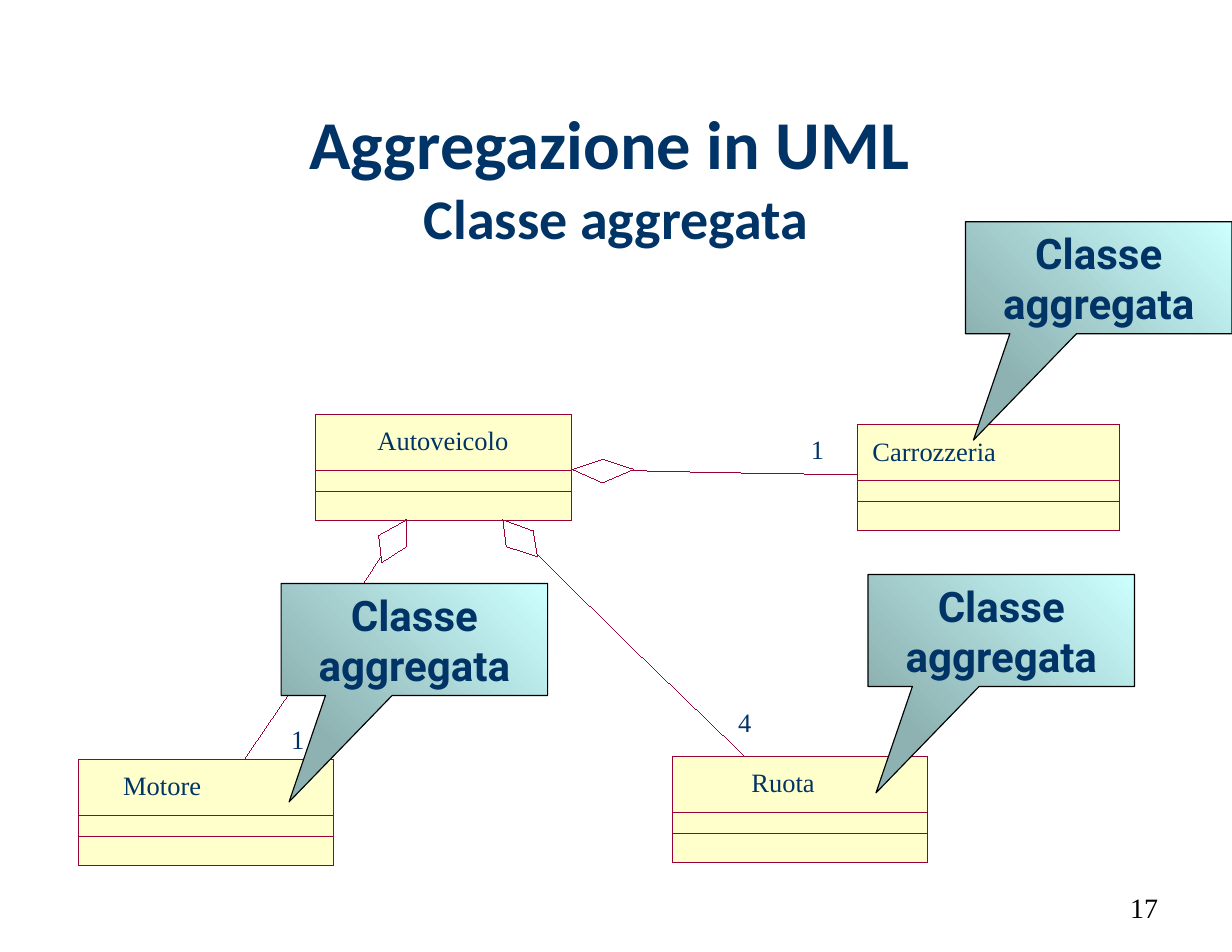
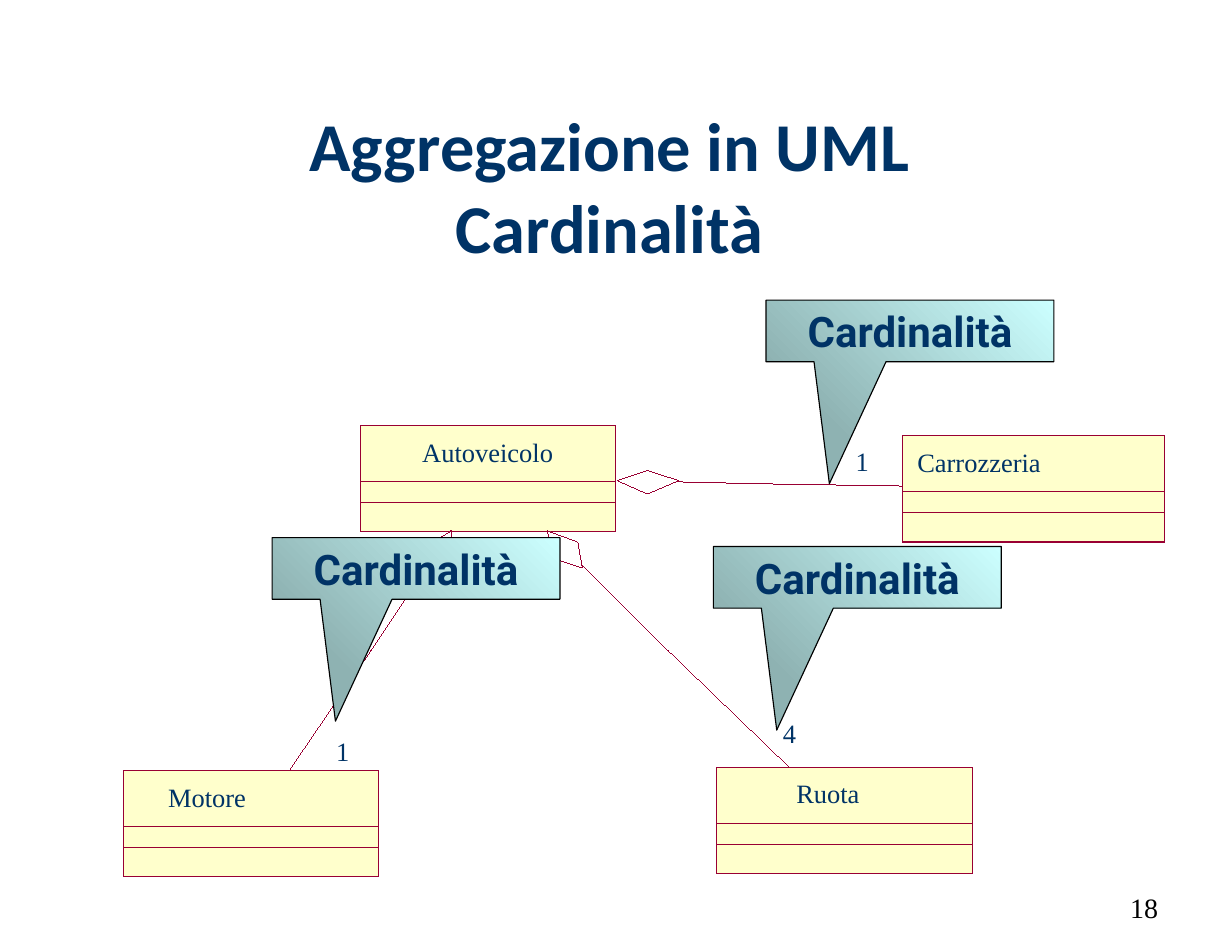
"""Builds two slides on UML aggregation: aggregated classes and cardinality."""
import dataclasses

import pptx
import pptx.dml.color
import pptx.enum.shapes
import pptx.enum.text
import pptx.oxml.ns
import pptx.util
from lxml import etree

Inches = pptx.util.Inches
Pt = pptx.util.Pt
SHAPE = pptx.enum.shapes.MSO_SHAPE
ANCHOR = pptx.enum.text.MSO_ANCHOR
ALIGN = pptx.enum.text.PP_ALIGN
FIT = pptx.enum.text.MSO_AUTO_SIZE


@dataclasses.dataclass(frozen=True)
class Theme:
    navy: str = "003366"
    black: str = "000000"
    white: str = "FFFFFF"
    crimson: str = "990033"
    cream: str = "FFFFCC"
    teal: str = "8EB2B2"
    aqua: str = "CCFFFF"
    title_font: str = "Calibri"
    callout_font: str = "Roboto"
    diagram_font: str = "Times New Roman"
    title_size: int = 44
    callout_size: int = 27
    label_size: int = 17
    number_size: int = 18
    hairline: float = 0.01
    callout_line: float = 0.75


THEME = Theme()

SLIDES = [
    {
        "title": "Aggregazione in UML", "subtitle": " Classe aggregata", "subtitle_size": 36,
        "title_top": 0.86, "number": "17", "shift": (0, 0),
        "callout": "Classe aggregata", "callout_size": (2.38, 1), "tip": (-0.47, 1.45),
        "callouts_at": [(7.75, 5.13), (8.62, 1.98), (2.51, 5.21)],
    },
    {
        "title": "Aggregazione in UML", "subtitle": "Cardinalità", "subtitle_size": 44,
        "title_top": 0.94, "number": "18", "shift": (0.4, 0.1),
        "callout": "Cardinalità", "callout_size": (2.57, 0.55), "tip": (-0.28, 2.48),
        "callouts_at": [(6.84, 2.68), (6.37, 4.88), (2.43, 4.8)],
    },
]

CLASSES = {
    "Ruota": {"at": (6, 6.75), "width": 2.28, "label_offset": 0.71, "label_width": 0.57},
    "Carrozzeria": {"at": (7.66, 3.79), "width": 2.34, "label_offset": 0.13, "label_width": 1.12},
    "Autoveicolo": {"at": (2.82, 3.7), "width": 2.28, "label_offset": 0.55, "label_width": 1.18},
    "Motore": {"at": (0.7, 6.78), "width": 2.28, "label_offset": 0.4, "label_width": 0.71},
}
CLASS_HEIGHT = 0.95
COMPARTMENTS = (0.5, 0.69)

AGGREGATIONS = [
    {
        "line": [(3.62, 4.64), (2.91, 5.71), (2.18, 6.78)],
        "diamond": [(3.63, 4.64), (3.63, 4.88), (3.41, 5.02), (3.38, 4.78)],
        "cardinality": ("1", 2.6, 6.46),
    },
    {
        "line": [(4.49, 4.64), (5.57, 5.71), (6.65, 6.75)],
        "diamond": [(4.49, 4.64), (4.76, 4.74), (4.8, 4.97), (4.52, 4.88)],
        "cardinality": ("4", 6.59, 6.3),
    },
    {
        "line": [(5.11, 4.19), (6.4, 4.22), (7.66, 4.24)],
        "diamond": [(5.11, 4.19), (5.38, 4.1), (5.66, 4.19), (5.38, 4.31)],
        "cardinality": ("1", 7.24, 3.87),
    },
]


def rgb(code):
    return pptx.dml.color.RGBColor.from_string(code)


def style_font(font, name, size, color, bold=False):
    font.name, font.size, font.bold = name, Pt(size), bold
    font.color.rgb = rgb(color)


def outline(shape, color, width=THEME.hairline):
    shape.line.color.rgb = rgb(color)
    shape.line.width = Pt(width)


def add_text(page, text, left, top, width, height, font, align):
    box = page.shapes.add_textbox(*map(Inches, (left, top, width, height)))
    frame = box.text_frame
    frame.margin_left = frame.margin_right = Inches(0.11)
    frame.margin_top = frame.margin_bottom = Inches(0.06)
    frame.word_wrap = True
    frame.vertical_anchor = ANCHOR.MIDDLE
    para = frame.paragraphs[0]
    para.alignment = align
    style_font(para.font, *font)
    para.add_run().text = text
    return frame


def add_label(page, text, left, top, width):
    font = (THEME.diagram_font, THEME.label_size, THEME.navy)
    frame = add_text(page, text, left, top, width, 0.28, font, ALIGN.LEFT)
    frame.margin_left = frame.margin_right = frame.margin_top = frame.margin_bottom = 0
    frame.word_wrap = False
    frame.auto_size = FIT.SHAPE_TO_FIT_TEXT
    frame.vertical_anchor = ANCHOR.TOP


def add_title(page, slide):
    font = (THEME.title_font, THEME.title_size, THEME.navy, True)
    frame = add_text(page, slide["title"], 0.54, slide["title_top"], 9.81, 1.42,
                     font, ALIGN.CENTER)
    para = frame.paragraphs[0]
    para.add_line_break()
    span = para.add_run()
    span.text = slide["subtitle"]
    if slide["subtitle_size"] != THEME.title_size:
        span.font.size = Pt(slide["subtitle_size"])


def add_number(page, number):
    font = (THEME.diagram_font, THEME.number_size, THEME.black)
    add_text(page, number, 7.88, 7.88, 2.57, 0.45, font, ALIGN.RIGHT)


def add_class(page, name, shift):
    entry = CLASSES[name]
    left, top = entry["at"][0] + shift[0], entry["at"][1] + shift[1]
    for offset in (0, *COMPARTMENTS):
        part = page.shapes.add_shape(SHAPE.RECTANGLE, *map(
            Inches, (left, top + offset, entry["width"], CLASS_HEIGHT - offset)))
        part.shadow.inherit = False
        outline(part, THEME.crimson)
        if offset:
            part.fill.background()
        else:
            part.fill.solid()
            part.fill.fore_color.rgb = rgb(THEME.cream)
    add_label(page, name, left + entry["label_offset"], top + 0.09, entry["label_width"])


def add_line(page, start, end):
    line = page.shapes.add_connector(
        pptx.enum.shapes.MSO_CONNECTOR.STRAIGHT, *map(Inches, (*start, *end)))
    outline(line, THEME.crimson)
    etree.SubElement(line._element.spPr, pptx.oxml.ns.qn("a:effectLst"))


def add_aggregation(page, link, shift):
    def moved(points):
        return [(x + shift[0], y + shift[1]) for x, y in points]

    whole, middle, component = moved(link["line"])
    add_line(page, whole, middle)
    add_line(page, middle, component)
    corners = [(Inches(x), Inches(y)) for x, y in moved(link["diamond"])]
    builder = page.shapes.build_freeform(*corners[0])
    builder.add_line_segments(corners[1:], close=True)
    diamond = builder.convert_to_shape()
    diamond.shadow.inherit = False
    diamond.fill.solid()
    diamond.fill.fore_color.rgb = rgb(THEME.white)
    outline(diamond, THEME.crimson)
    text, left, top = link["cardinality"]
    add_label(page, text, left + shift[0], top + shift[1], 0.12)


def add_callout(page, slide, place):
    callout = page.shapes.add_shape(
        SHAPE.RECTANGULAR_CALLOUT, *map(Inches, (*place, *slide["callout_size"])))
    callout.shadow.inherit = False
    for index, value in enumerate(slide["tip"]):
        callout.adjustments[index] = value
    callout.fill.gradient()
    callout.fill.gradient_angle = 45
    for stop, color in zip(callout.fill.gradient_stops, (THEME.teal, THEME.aqua)):
        stop.color.rgb = rgb(color)
    outline(callout, THEME.black, THEME.callout_line)
    frame = callout.text_frame
    frame.word_wrap = True
    frame.vertical_anchor = ANCHOR.MIDDLE
    para = frame.paragraphs[0]
    para.alignment = ALIGN.CENTER
    style_font(para.font, THEME.callout_font, THEME.callout_size, THEME.navy, True)
    para.add_run().text = slide["callout"]


def main():
    deck = pptx.Presentation()
    deck.slide_width, deck.slide_height = Inches(11), Inches(8.5)
    for slide in SLIDES:
        page = deck.slides.add_slide(deck.slide_layouts[6])
        add_title(page, slide)
        add_number(page, slide["number"])
        for name in CLASSES:
            add_class(page, name, slide["shift"])
        for link in AGGREGATIONS:
            add_aggregation(page, link, slide["shift"])
        for place in slide["callouts_at"]:
            add_callout(page, slide, place)
    deck.save("out.pptx")


if __name__ == "__main__":
    main()
